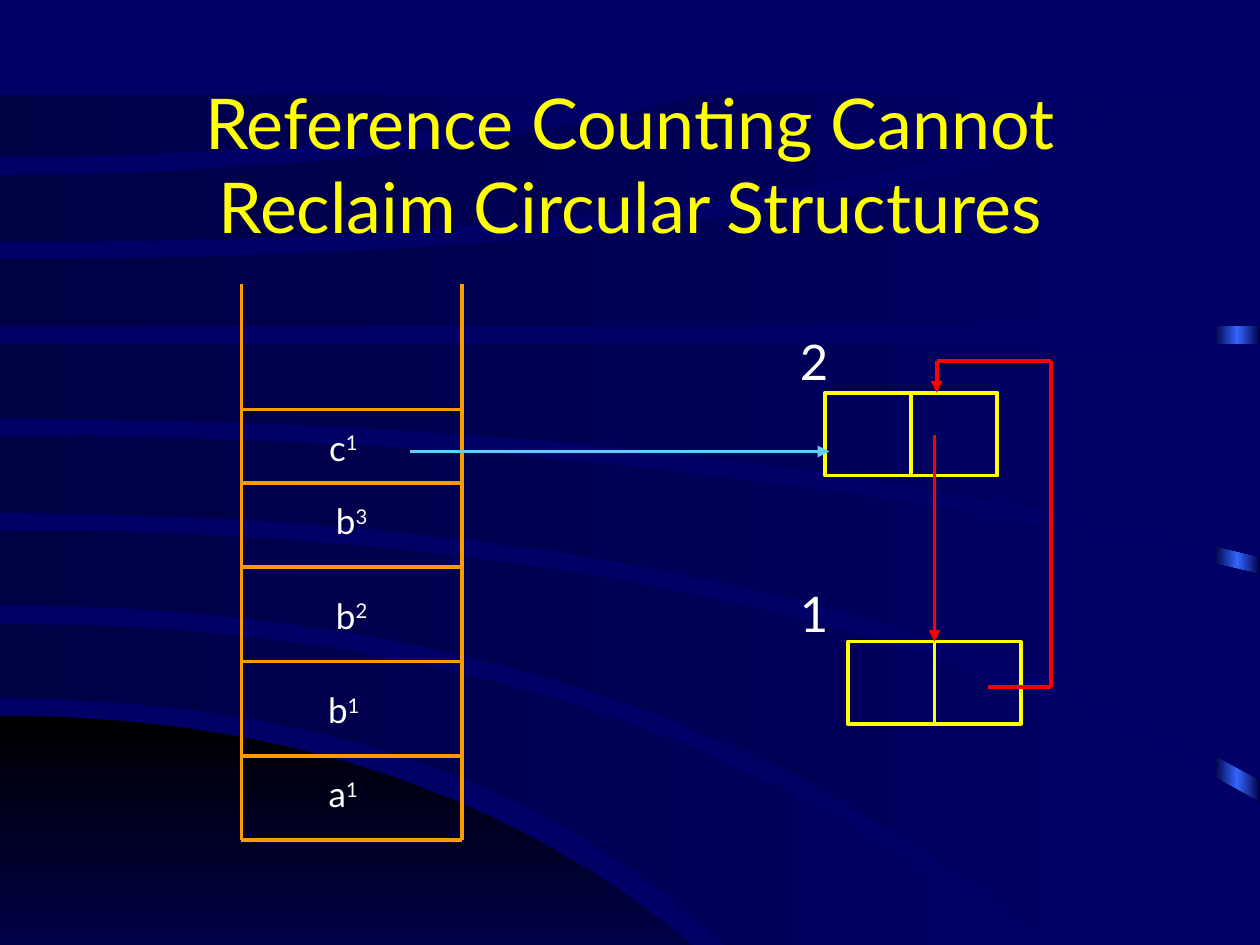
from copy import deepcopy
from itertools import pairwise

from lxml.etree import SubElement
from pptx import Presentation
from pptx.dml.color import RGBColor
from pptx.enum.shapes import MSO_CONNECTOR as Connector, MSO_SHAPE as Shape
from pptx.enum.text import MSO_ANCHOR as Anchor, MSO_AUTO_SIZE as AutoSize, PP_ALIGN as Align
from pptx.oxml.ns import qn
from pptx.util import Inches, Pt

NAVY = RGBColor(0x00, 0x00, 0x66)
DARK_NAVY = RGBColor(0x00, 0x00, 0x44)
BLUE = RGBColor(0x33, 0x66, 0xFF)
BLACK = RGBColor(0x00, 0x00, 0x00)
WHITE = RGBColor(0xFF, 0xFF, 0xFF)
YELLOW = RGBColor(0xFF, 0xFF, 0x00)
ORANGE = RGBColor(0xFF, 0x99, 0x00)
RED = RGBColor(0xFF, 0x00, 0x00)
SKY = RGBColor(0x66, 0xCC, 0xFF)

FONT = "Lato"
STROKE = Pt(2.25)

prs = Presentation()
prs.slide_width, prs.slide_height = Inches(10), Inches(7.5)
UNIT = prs.slide_width / 120  # the diagram sits on a grid of 120 columns by 90 rows

slide = prs.slides.add_slide(prs.slide_layouts[5])
shapes = slide.shapes
slide.background.fill.solid()
slide.background.fill.fore_color.rgb = NAVY


def add_line(start, end, color, arrow=False):
    line = shapes.add_connector(Connector.STRAIGHT, *(round(v * UNIT) for v in (*start, *end)))
    line.line.color.rgb = color
    line.line.width = STROKE
    SubElement(line._element.spPr, qn("a:effectLst"))
    if arrow:
        SubElement(line.line._get_or_add_ln(), qn("a:tailEnd"), type="triangle")
    return line


def add_label(left, top, width, height, size, align, text, superscript=""):
    label = shapes.add_textbox(*(round(v * UNIT) for v in (left, top, width, height)))
    label.text_frame.word_wrap = False
    paragraph = label.text_frame.paragraphs[0]
    paragraph.alignment = align
    for position, part in enumerate(filter(None, (text, superscript))):
        run = paragraph.add_run()
        run.text = part
        run.font.name, run.font.size = FONT, Pt(size)
        run.font.color.rgb = WHITE
        if position:
            run._r.get_or_add_rPr().set("baseline", "30000")


# Backdrop: a glowing strip at the right, mostly covered by curved bands.
# Each band has an upper and a lower edge, in inches: start height, bend, end x, end y.
# An edge leaves the left side level and follows a quadratic curve to its end.
STEPS = 16
bands = [
    ((5.68, 3.94, 6.29, 8.27), (8.27, 3, 6.29, 8.27)),
    ((4.95, 5.7, 8.94, 8.25), (5.54, 4.35, 6.43, 8.25)),
    ((4.21, 6.3, 10, 6.37), (4.8, 5.85, 9.1, 8.25)),
    ((3.46, 5.55, 10, 4.56), (4.07, 6.3, 10, 6.19)),
    ((2.73, 5, 10, 2.73), (3.32, 5.7, 10, 4.42)),
    ((2.06, 6.7, 9.44, 0.75), (2.59, 5, 10, 2.59)),
    ((1.39, 3.2, 5.57, 0.75), (1.92, 6.1, 9.18, 0.75)),
    ((0.75, 2.5, 5.02, 0.75), (1.24, 2.9, 5.02, 0.75)),
]
glow = shapes.add_shape(Shape.RECTANGLE, Inches(9.64), Inches(0.77), Inches(0.36), Inches(6.73))
curves = []
for edges in bands:
    upper, lower = [
        [(Inches(2 * t * (1 - t) * bend + t * t * end_x),
          Inches(start_y + t * t * (end_y - start_y)))
         for t in (step / STEPS for step in range(STEPS + 1))]
        for start_y, bend, end_x, end_y in edges
    ]
    shorter, longer = sorted((upper[-1], lower[-1]))
    outline = shapes.build_freeform(*upper[0])
    outline.add_line_segments([*upper[1:], (longer[0], shorter[1]), *reversed(lower)])
    curves.append(outline.convert_to_shape())

corner, *stripes = curves
shadings = [(glow, DARK_NAVY, DARK_NAVY, 0), (corner, BLACK, NAVY, 270)]
shadings += [(stripe, DARK_NAVY, NAVY, 0) for stripe in stripes]
for piece, first_color, last_color, angle in shadings:
    piece.shadow.inherit = False
    piece.line.fill.background()
    piece.fill.gradient()
    piece.fill.gradient_angle = angle
    for stop, color, position in zip(piece.fill.gradient_stops, (first_color, last_color), (0, 1)):
        stop.color.rgb = color
        stop.position = position

first_stop = glow._element.spPr.find(".//" + qn("a:gs"))
first_stop.addnext(deepcopy(first_stop))
middle_stop = glow.fill.gradient_stops[1]
middle_stop.color.rgb = BLUE
middle_stop.position = 0.5

# Title, brought in front of the backdrop
title = shapes.title
curves[-1]._element.addnext(title._element)
title.left, title.top, title.width, title.height = map(Inches, (0.75, 0.67, 8.5, 1.25))
frame = title.text_frame
frame.text = "Reference Counting Cannot\vReclaim Circular Structures"
for name, value in {"word_wrap": True, "auto_size": AutoSize.NONE,
                    "vertical_anchor": Anchor.MIDDLE}.items():
    setattr(frame, name, value)
heading = frame.paragraphs[0]
heading.alignment = Align.CENTER
for run in heading.runs:
    for name, value in {"name": FONT, "size": Pt(40)}.items():
        setattr(run.font, name, value)
    run.font.color.rgb = YELLOW
heading._p.find(qn("a:br")).insert(0, deepcopy(heading.runs[0]._r.rPr))

# Stack: two walls, floors and one variable above each floor
STACK_LEFT, STACK_RIGHT, STACK_TOP, STACK_BOTTOM = 23, 44, 27, 80
for wall in (STACK_LEFT, STACK_RIGHT):
    add_line((wall, STACK_TOP), (wall, STACK_BOTTOM), ORANGE)
for floor in (STACK_BOTTOM, 72, 63, 54, 46, 39):
    add_line((STACK_LEFT, floor), (STACK_RIGHT, floor), ORANGE)
for variable, version, top, width in [("a", "1", 73, 5.4), ("b", "1", 65, 5.5), ("b", "2", 56, 7),
                                      ("b", "3", 47, 7), ("c", "1", 40, 5.4)]:
    add_label(30, top, width, 5.3, 20, Align.CENTER, variable, version)

# Heap: two cells, each split in halves, with its reference count
CELL_WIDTH, CELL_HEIGHT = 16.4, 7.9
cells = []
for left, top, count, count_top in [(78.6, 37.4, "2", 31), (80.8, 61.1, "1", 55)]:
    cell = shapes.add_shape(Shape.RECTANGLE,
                            *(round(v * UNIT) for v in (left, top, CELL_WIDTH, CELL_HEIGHT)))
    cell.shadow.inherit = False
    cell.fill.background()
    cell.line.color.rgb = YELLOW
    cell.line.width = STROKE
    middle = left + CELL_WIDTH / 2
    divider = add_line((middle, top), (middle, top + CELL_HEIGHT), YELLOW)
    divider.begin_connect(cell, 0)
    divider.end_connect(cell, 2)
    add_label(75, count_top, 5, 6.8, 28, Align.LEFT, count)
    cells.append(cell)

# References: the cycle between the cells, and the one from the stack
down = add_line((89, 41.4), (89, 61.1), RED, arrow=True)
down.end_connect(cells[1], 0)
way_back = [(94.1, 65.4), (100.1, 65.4), (100.1, 34.4), (89.2, 34.4), (89.2, 37.4)]
for start, end in pairwise(way_back):
    add_line(start, end, RED, arrow=end == way_back[-1])
add_line((39, 43), (79, 43), SKY, arrow=True)

prs.save("out.pptx")
